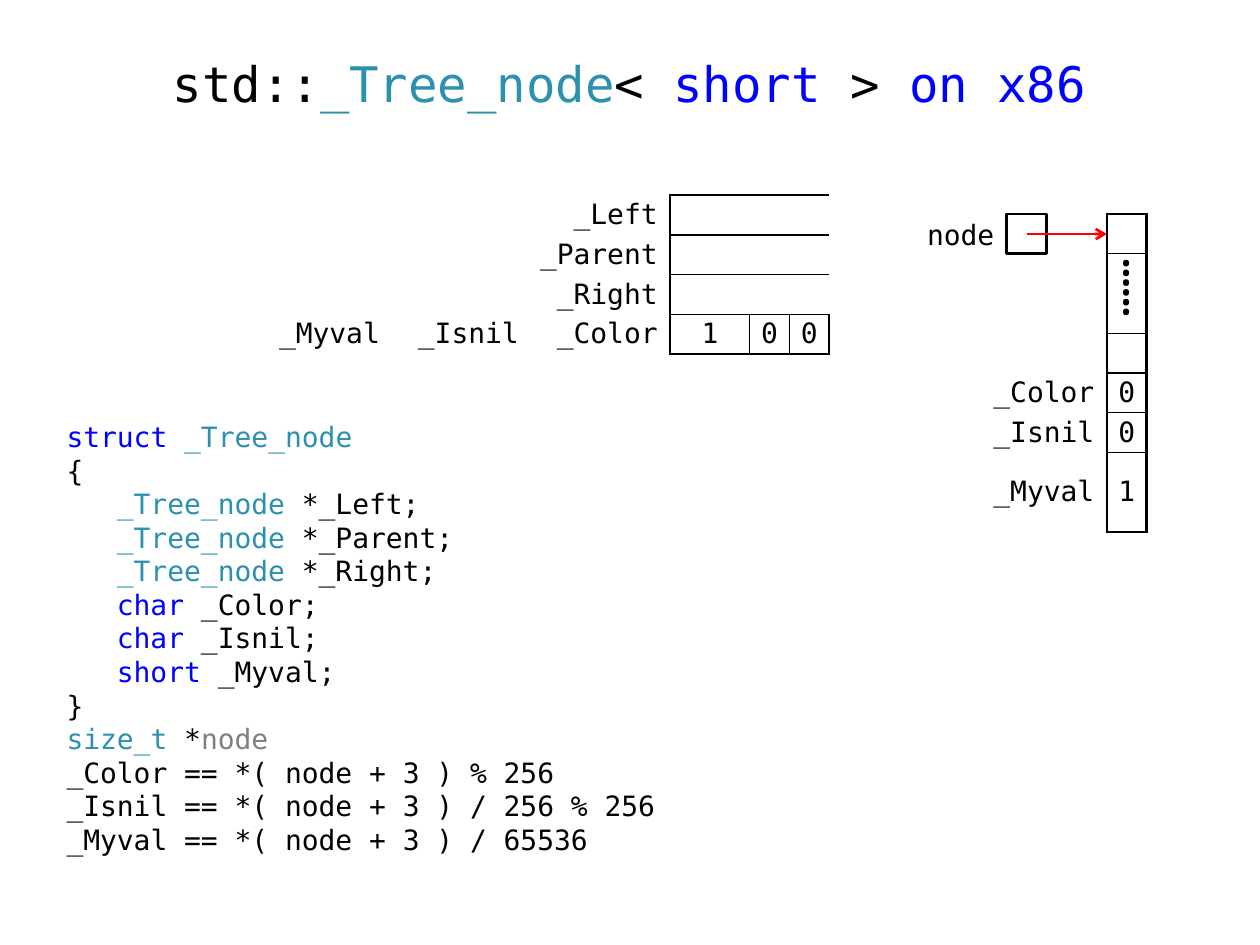
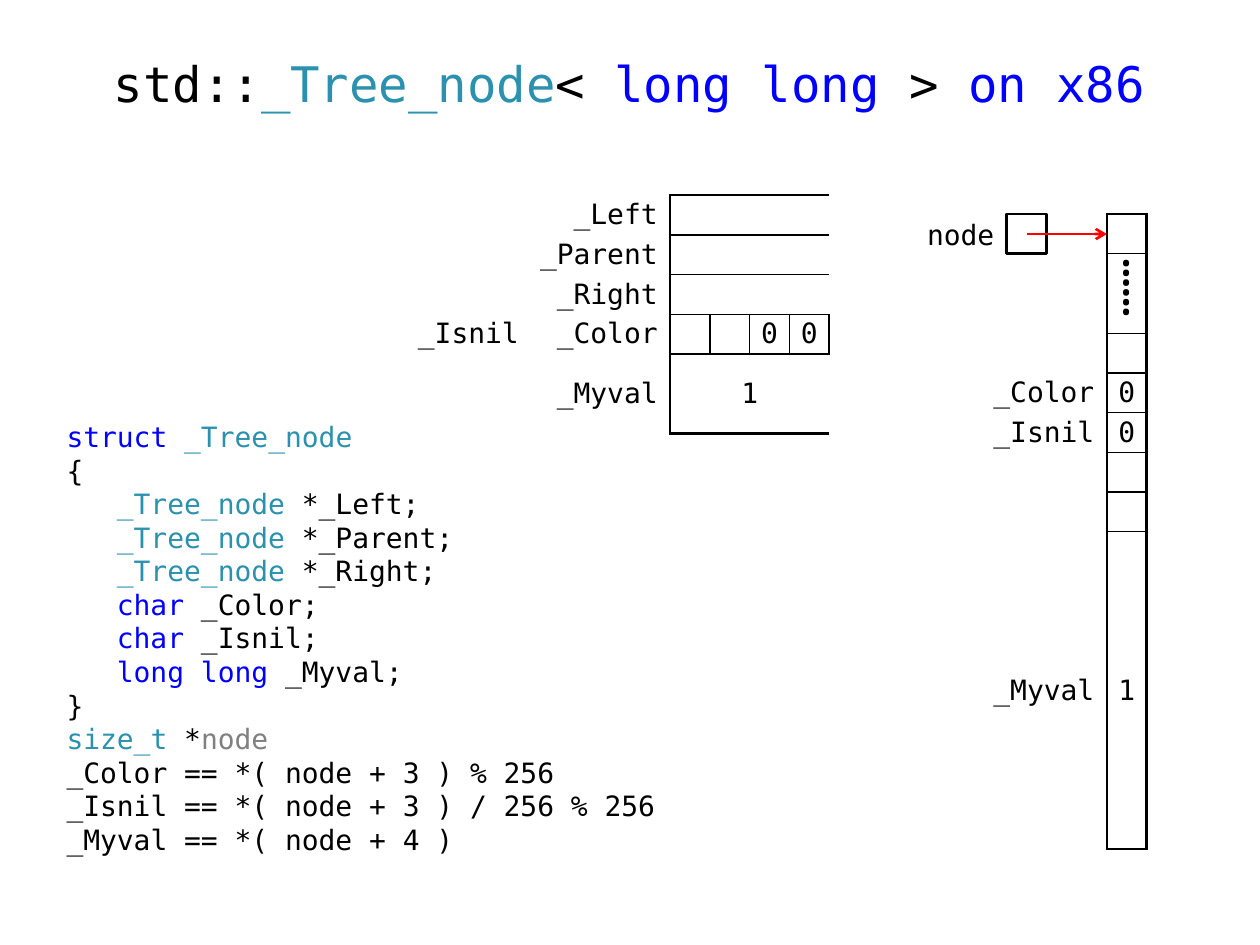
from lxml import etree
from pptx import Presentation
from pptx.dml.color import RGBColor
from pptx.enum.shapes import MSO_CONNECTOR, MSO_SHAPE
from pptx.enum.text import MSO_ANCHOR, PP_ALIGN
from pptx.oxml.ns import qn
from pptx.util import Inches, Pt

LEFT, CENTER, RIGHT = PP_ALIGN.LEFT, PP_ALIGN.CENTER, PP_ALIGN.RIGHT
TOP, MIDDLE = MSO_ANCHOR.TOP, MSO_ANCHOR.MIDDLE
RECTANGLE, STRAIGHT = MSO_SHAPE.RECTANGLE, MSO_CONNECTOR.STRAIGHT
COLORS = {"text": "000000", "type": "2B91AF", "keyword": "0000FF",
          "parameter": "808080", "arrow": "FF0000", "paper": "FFFFFF"}
CODE_FONT, DOTS_FONT = "DejaVu Sans Mono", "Times New Roman"
DOTS = "\u2e3d"
PLAIN_TABLE = "{2D5ABB26-0587-4C30-8999-92F81FD0307C}"
THICK, THIN = 1.5, 0.75
BYTE = Inches(0.315)
LABEL = 3.5
NODE_TOP, NODE_LEFT = Inches(1.7), Inches(7.99)
MEMORY_RIGHT = Inches(9.1)
LAYOUT_TOP, LAYOUT_RIGHT = Inches(1.55), Inches(6.58)


def write(paragraph, runs, size=16, alignment=LEFT, font=CODE_FONT):
    paragraph.alignment = alignment
    for text, color in runs:
        run = paragraph.add_run()
        run.text = text
        run.font.name = font
        run.font.size = Pt(size)
        run.font.color.rgb = RGBColor.from_string(COLORS[color])


def draw_table(slide, right, top, columns, rows, first_value, entries):
    width, height = int(sum(columns) * BYTE), int(sum(rows) * BYTE)
    frame = slide.shapes.add_table(len(rows), len(columns), right - width, top, width, height)
    table = frame.table
    table.first_row = table.horz_banding = False
    table._tbl.tblPr.find(qn("a:tableStyleId")).text = PLAIN_TABLE
    for column, share in zip(table.columns, columns):
        column.width = int(share * BYTE)
    for row, share in zip(table.rows, rows):
        row.height = int(share * BYTE)
    for cell in table.iter_cells():
        cell.margin_top = cell.margin_bottom = 0
        cell.vertical_anchor = MIDDLE
    for row, column, row_span, column_span, text in entries:
        last_row, last_column = row + row_span - 1, column + column_span - 1
        is_value = column >= first_value
        origin = table.cell(row, column)
        if row_span * column_span > 1:
            origin.merge(table.cell(last_row, last_column))
        origin.margin_left = origin.margin_right = Inches(0.08 if is_value else 0.1)
        if text == DOTS:
            origin.margin_bottom = Inches(0.08)
            write(origin.text_frame.paragraphs[0], [(text, "text")], 28, CENTER, DOTS_FONT)
        elif text:
            write(origin.text_frame.paragraphs[0], [(text, "text")],
                  alignment=CENTER if is_value else RIGHT)
        for y in range(row, last_row + 1):
            for x in range(column, last_column + 1):
                properties = table.cell(y, x)._tc.get_or_add_tcPr()
                edges = [("lnL", x == column, x == first_value),
                         ("lnR", x == last_column, x in (first_value - 1, len(columns) - 1)),
                         ("lnT", y == row, y == 0),
                         ("lnB", y == last_row, y == len(rows) - 1)]
                for tag, on_edge, is_outer in edges:
                    if on_edge and (is_value or (tag == "lnR" and is_outer)):
                        line = etree.SubElement(properties, qn("a:" + tag),
                                                w=str(Pt(THICK if is_outer else THIN)))
                        fill = etree.SubElement(line, qn("a:solidFill"))
                        etree.SubElement(fill, qn("a:srgbClr"), val=COLORS["text"])
    for cell in table.iter_cells():
        cell.fill.background()


pointer_names = ["_Left", "_Parent", "_Right"]
short_layout = [(3, column, 1, 1, text) for column, text in
                enumerate(["_Myval", "_Isnil", "_Color", "1", "0", "0"])]
long_layout = [(3, column, 1, 1, text) for column, text in
               enumerate(["_Isnil", "_Color", "", "", "0", "0"])]
long_layout += [(4, 0, 1, 2, "_Myval"), (4, 2, 1, 4, "1")]
header_bytes = [("_Color", "0", 1), ("_Isnil", "0", 1)]

versions = [
    {"value_type": "short ", "formula": "_Myval == *( node + 3 ) / 65536",
     "memory": header_bytes + [("_Myval", "1", 2)],
     "columns": [LABEL] * 3 + [2, 1, 1], "rows": [1] * 4,
     "first_value": 3, "layout": short_layout},
    {"value_type": "long long ", "formula": "_Myval == *( node + 4 )",
     "memory": header_bytes + [("", "", 1)] * 2 + [("_Myval", "1", 8)],
     "columns": [LABEL] * 2 + [1] * 4, "rows": [1] * 4 + [2],
     "first_value": 2, "layout": long_layout},
]

presentation = Presentation()
presentation.slide_width, presentation.slide_height = Inches(10), Inches(7.5)

for version in versions:
    slide = presentation.slides.add_slide(presentation.slide_layouts[6])
    value_type = version["value_type"]

    title = slide.shapes.add_textbox(Inches(0.43), Inches(0.29), Inches(9.13), Inches(0.79))
    title.text_frame.word_wrap = True
    title.text_frame.vertical_anchor = MIDDLE
    paragraph = title.text_frame.paragraphs[0]
    paragraph.line_spacing = 0.9
    write(paragraph, [("std::", "text"), ("_Tree_node", "type"), ("< ", "text"),
                      (value_type, "keyword"), (">", "text"), (" on x86", "keyword")], 28, CENTER)

    members = [[("_Tree_node", "type"), (f" *{name};", "text")] for name in pointer_names]
    members += [[("char", "keyword"), (f" {name};", "text")] for name in ("_Color", "_Isnil")]
    members.append([(value_type, "keyword"), ("_Myval;", "text")])
    opening = [[("struct ", "keyword"), ("_Tree_node", "type")], [("{", "text")]]
    closing = [[("}", "text")],
               [("size_t", "type"), (" *", "text"), ("node", "parameter")],
               [("_Color == *( node + 3 ) % 256", "text")],
               [("_Isnil == *( node + 3 ) / 256 % 256", "text")],
               [(version["formula"], "text")]]
    code = slide.shapes.add_textbox(Inches(0.43), Inches(3.28), Inches(6.46), Inches(3.62))
    code.text_frame.word_wrap = True
    code.text_frame.vertical_anchor = TOP
    for index, runs in enumerate(opening + members + closing):
        paragraph = code.text_frame.paragraphs[0] if index == 0 else code.text_frame.add_paragraph()
        write(paragraph, runs)
        if runs in members:
            paragraph._p.get_or_add_pPr().set("marL", str(Inches(0.4)))

    entries = [(0, 1, 1, 1, ""), (1, 1, 2, 1, DOTS), (3, 1, 1, 1, "")]
    for row, (name, value, size) in enumerate(version["memory"], 4):
        entries += [(row, 0, 1, 1, name), (row, 1, 1, 1, value)]
    memory_rows = [1] * 4 + [size for name, value, size in version["memory"]]
    draw_table(slide, MEMORY_RIGHT, NODE_TOP, [LABEL, 1], memory_rows, 1, entries)

    label_width = int(2.5 * BYTE)
    label = slide.shapes.add_textbox(NODE_LEFT - label_width, NODE_TOP, label_width, BYTE)
    label.text_frame.margin_top = label.text_frame.margin_bottom = 0
    label.text_frame.vertical_anchor = MIDDLE
    label.text_frame.word_wrap = True
    write(label.text_frame.paragraphs[0], [("node", "text")], alignment=RIGHT)

    node = slide.shapes.add_shape(RECTANGLE, NODE_LEFT, NODE_TOP, BYTE, BYTE)
    node.shadow.inherit = False
    node.fill.solid()
    node.fill.fore_color.rgb = RGBColor.from_string(COLORS["paper"])
    node.line.color.rgb = RGBColor.from_string(COLORS["text"])
    node.line.width = Pt(THICK)

    middle = NODE_TOP + BYTE // 2
    arrow = slide.shapes.add_connector(STRAIGHT, NODE_LEFT + BYTE // 2, middle,
                                       MEMORY_RIGHT - BYTE, middle)
    arrow.line.color.rgb = RGBColor.from_string(COLORS["arrow"])
    arrow.line.width = Pt(THICK)
    etree.SubElement(arrow.line._get_or_add_ln(), qn("a:tailEnd"), type="arrow")
    etree.SubElement(arrow._element.spPr, qn("a:effectLst"))

    first_value = version["first_value"]
    value_span = len(version["columns"]) - first_value
    entries = list(version["layout"])
    for row, name in enumerate(pointer_names):
        entries += [(row, 0, 1, first_value, name), (row, first_value, 1, value_span, "")]
    draw_table(slide, LAYOUT_RIGHT, LAYOUT_TOP, version["columns"], version["rows"],
               first_value, entries)

presentation.save("out.pptx")
